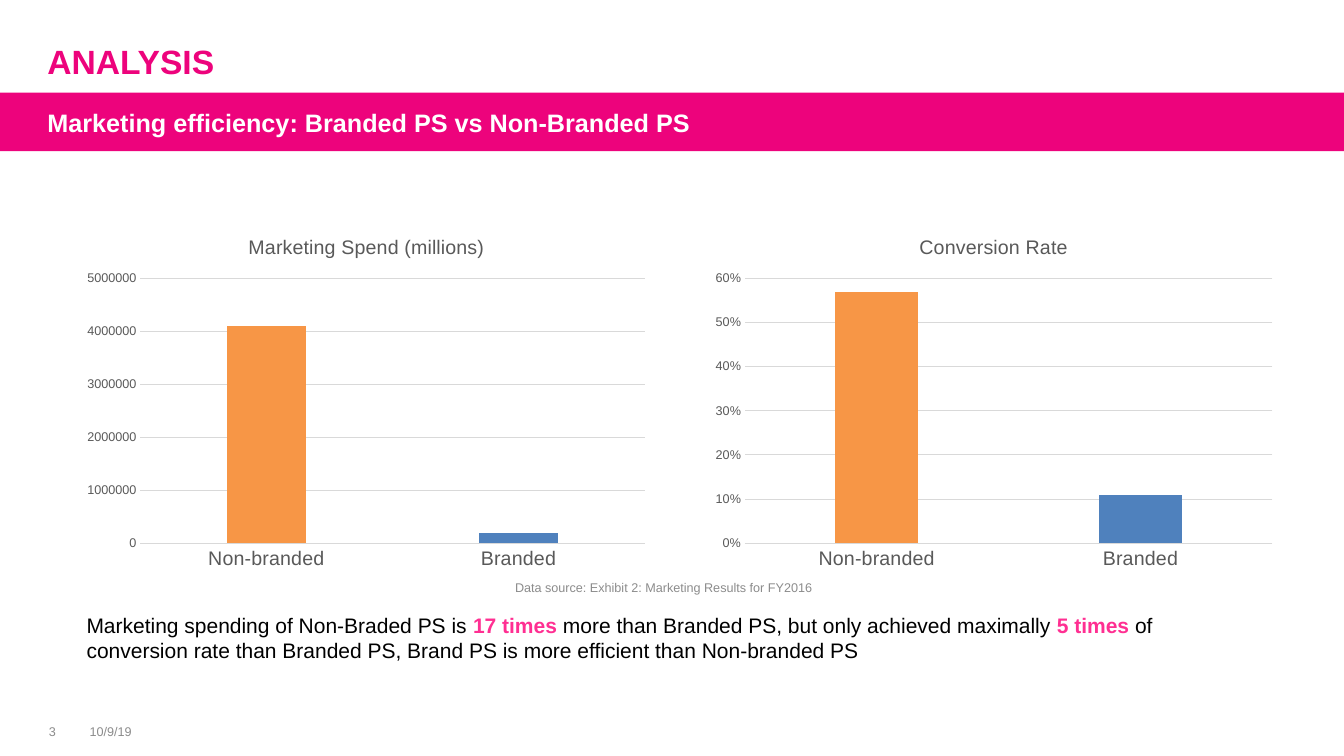
from lxml import etree
from pptx import Presentation
from pptx.chart.data import CategoryChartData
from pptx.dml.color import RGBColor
from pptx.enum.chart import XL_CHART_TYPE, XL_TICK_MARK
from pptx.enum.shapes import MSO_SHAPE
from pptx.enum.text import MSO_ANCHOR, PP_ALIGN
from pptx.oxml.ns import qn
from pptx.util import Inches, Pt

COLUMNS = XL_CHART_TYPE.COLUMN_CLUSTERED
NO_TICK = XL_TICK_MARK.NONE
LEFT, CENTER = PP_ALIGN.LEFT, PP_ALIGN.CENTER
TOP, MIDDLE = MSO_ANCHOR.TOP, MSO_ANCHOR.MIDDLE

# Content
COLORS = {"brand": "ED037C", "accent": "FF2F92", "white": "FFFFFF", "black": "000000",
          "muted": "8C8C8C", "label": "595959", "grid": "D9D9D9",
          "orange": "F79646", "blue": "4F81BD"}
TITLE = "ANALYSIS"
SUBTITLE = "Marketing efficiency: Branded PS vs Non-Branded PS"
CATEGORIES = ["Non-branded", "Branded"]
BAR_COLORS = ["orange", "blue"]
CHARTS = [
    {"title": "Marketing Spend (millions)", "values": [4100000, 200000], "format": "General",
     "max": 5000000, "step": 1000000, "overlap": -27, "plot": (0.11, 0.167, 0.87, 0.74)},
    {"title": "Conversion Rate", "values": [0.57, 0.11], "format": "0%",
     "max": 0.6, "step": 0.1, "overlap": 0, "plot": (0.071, 0.167, 0.91, 0.74)},
]
FINDING = [("Marketing spending of Non-Braded PS is ", False), ("17 times ", True),
           ("more than Branded PS, but only achieved maximally ", False), ("5 times ", True),
           ("of conversion rate than Branded PS, Brand PS is more efficient than Non-branded PS",
            False)]
# text, box, alignment
SMALL_TEXTS = [("3", (0.26, 7.14, 0.52, 0.24), CENTER),
               ("10/9/19", (0.79, 7.14, 1, 0.24), LEFT),
               ("Data source: Exhibit 2: Marketing Results for FY2016",
                (5.01, 5.7, 3.93, 0.26), LEFT)]

# Grid, in inches
WIDTH, HEIGHT = 13.33, 7.5
HEAD_X, HEAD_W = 0.37, 10.5
BAND_Y, BAND_H = 0.92, 0.58
CHART_X, CHART_Y, CHART_W, CHART_H, CHART_GAP = 0.76, 2.17, 5.75, 3.55, 0.47


def rgb(name):
    return RGBColor.from_string(COLORS[name])


def box(x, y, w, h):
    return [Inches(v) for v in (x, y, w, h)]


def style(font, size, color, bold=False):
    for key, value in {"name": "Arial", "size": Pt(size), "bold": bold}.items():
        setattr(font, key, value)
    font.color.rgb = rgb(color)


def write(sp, runs, size, align=LEFT, anchor=MIDDLE):
    """Fill a shape with one paragraph of (text, color, bold) runs."""
    tf = sp.text_frame
    for key, value in {"word_wrap": True, "vertical_anchor": anchor}.items():
        setattr(tf, key, value)
    p = tf.paragraphs[0]
    p.alignment = align
    for text, color, bold in runs:
        r = p.add_run()
        r.text = text
        style(r.font, size, color, bold)
    return p


def place(sp, x, y, w, h):
    sp.left, sp.top, sp.width, sp.height = box(x, y, w, h)


def set_plot(chart, shares):
    """Fix the inner plot area as shares of the chart."""
    area = chart._chartSpace.chart.plotArea
    for old in area.findall(qn("c:layout")):
        area.remove(old)
    layout = etree.Element(qn("c:layout"))
    manual = etree.SubElement(layout, qn("c:manualLayout"))
    settings = [("layoutTarget", "inner"), ("xMode", "edge"), ("yMode", "edge")]
    settings += zip("xywh", shares)
    for tag, value in settings:
        etree.SubElement(manual, qn("c:" + tag)).set("val", str(value))
    area.insert(0, layout)


def add_columns(slide, index, item):
    data = CategoryChartData(number_format=item["format"])
    data.categories = CATEGORIES
    data.add_series(item["title"], item["values"])
    x = CHART_X + index * (CHART_W + CHART_GAP)
    chart = slide.shapes.add_chart(COLUMNS, *box(x, CHART_Y, CHART_W, CHART_H), data).chart
    style(chart.font, 10, "black")
    chart.has_legend = False
    chart.has_title = True
    p = chart.chart_title.text_frame.paragraphs[0]
    r = p.add_run()
    r.text = item["title"]
    style(r.font, 14, "label")
    set_plot(chart, item["plot"])

    # Axes
    cat, val = chart.category_axis, chart.value_axis
    for axis, size in ((cat, 14), (val, 9)):
        axis.major_tick_mark = axis.minor_tick_mark = NO_TICK
        style(axis.tick_labels.font, size, "label")
    limits = {"minimum_scale": 0, "maximum_scale": item["max"], "major_unit": item["step"]}
    for key, value in limits.items():
        setattr(val, key, value)
    val.tick_labels.number_format = item["format"]
    val.tick_labels.number_format_is_linked = False
    val.format.line.fill.background()
    for line in (cat.format.line, val.major_gridlines.format.line):
        line.color.rgb = rgb("grid")
        line.width = Pt(0.75)

    # Columns
    plot = chart.plots[0]
    plot.vary_by_categories = False
    plot.gap_width, plot.overlap = 219, item["overlap"]
    series = plot.series[0]
    series.invert_if_negative = False
    for i, color in enumerate(BAR_COLORS):
        fill = series.points[i].format.fill
        fill.solid()
        fill.fore_color.rgb = rgb(color)


def main():
    prs = Presentation()
    prs.slide_width, prs.slide_height = Inches(WIDTH), Inches(HEIGHT)
    slide = prs.slides.add_slide(prs.slide_layouts[0])
    title, subtitle = slide.placeholders

    # Heading band, kept behind the subtitle
    band = slide.shapes.add_shape(MSO_SHAPE.RECTANGLE, *box(0, BAND_Y, WIDTH, BAND_H))
    band.shadow.inherit = False
    band.fill.solid()
    band.fill.fore_color.rgb = rgb("brand")
    band.line.fill.background()
    title._element.addprevious(band._element)

    # Headings
    place(title, HEAD_X, 0.3, HEAD_W, BAND_Y - 0.3)
    write(title, [(TITLE, "brand", True)], 24)
    place(subtitle, HEAD_X, BAND_Y, HEAD_W, BAND_H)
    p = write(subtitle, [(SUBTITLE, "white", True)], 18)
    p.space_before, p.space_after = Pt(0), Pt(0)

    # Charts
    for i, item in enumerate(CHARTS):
        add_columns(slide, i, item)

    # Finding, source and footer
    sp = slide.shapes.add_textbox(*box(CHART_X, 6.03, 11.81, 0.61))
    runs = [(text, "accent" if key else "black", key) for text, key in FINDING]
    write(sp, runs, 15, anchor=TOP)
    for text, where, align in SMALL_TEXTS:
        sp = slide.shapes.add_textbox(*box(*where))
        write(sp, [(text, "muted", False)], 9, align)

    prs.save("out.pptx")


if __name__ == "__main__":
    main()
